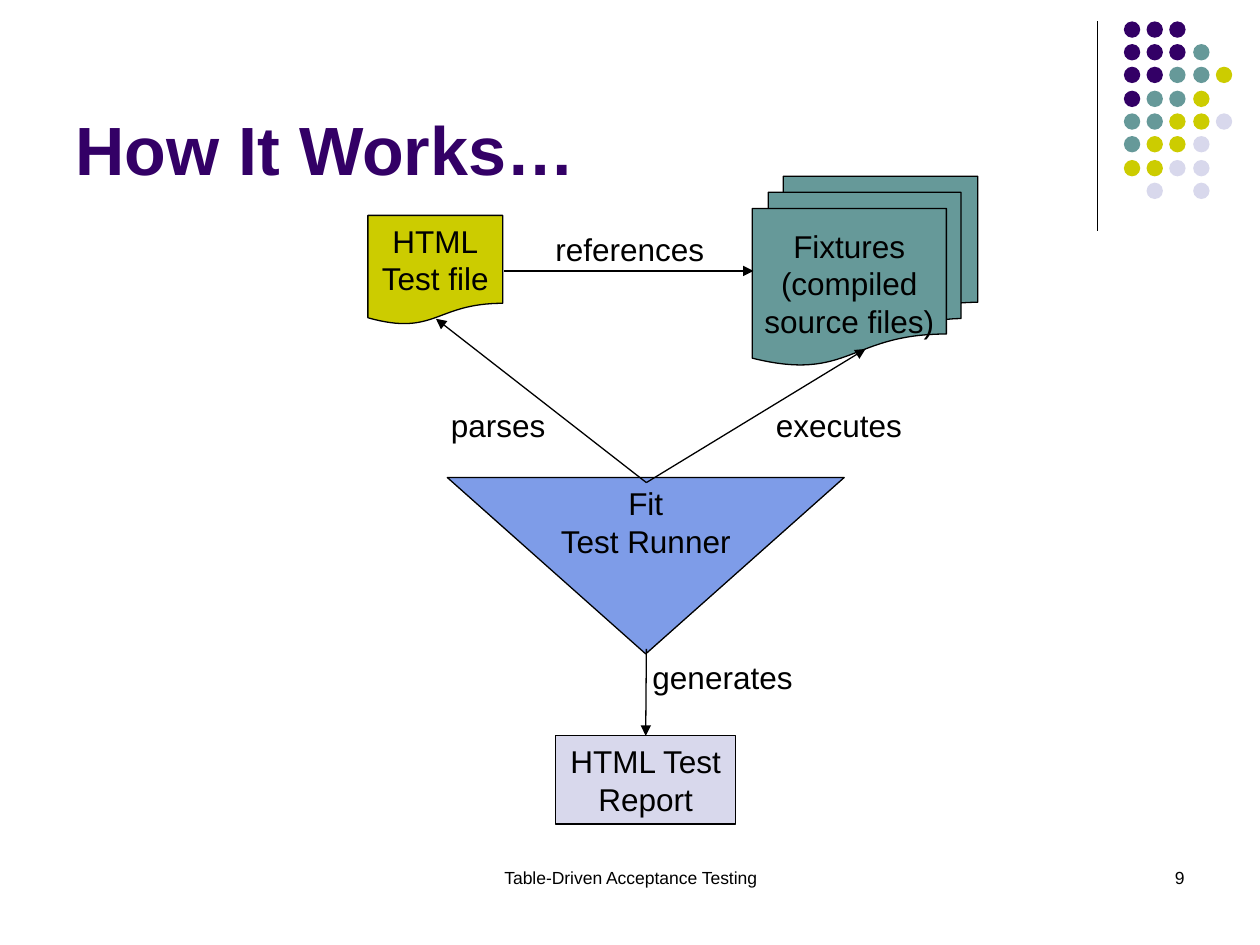
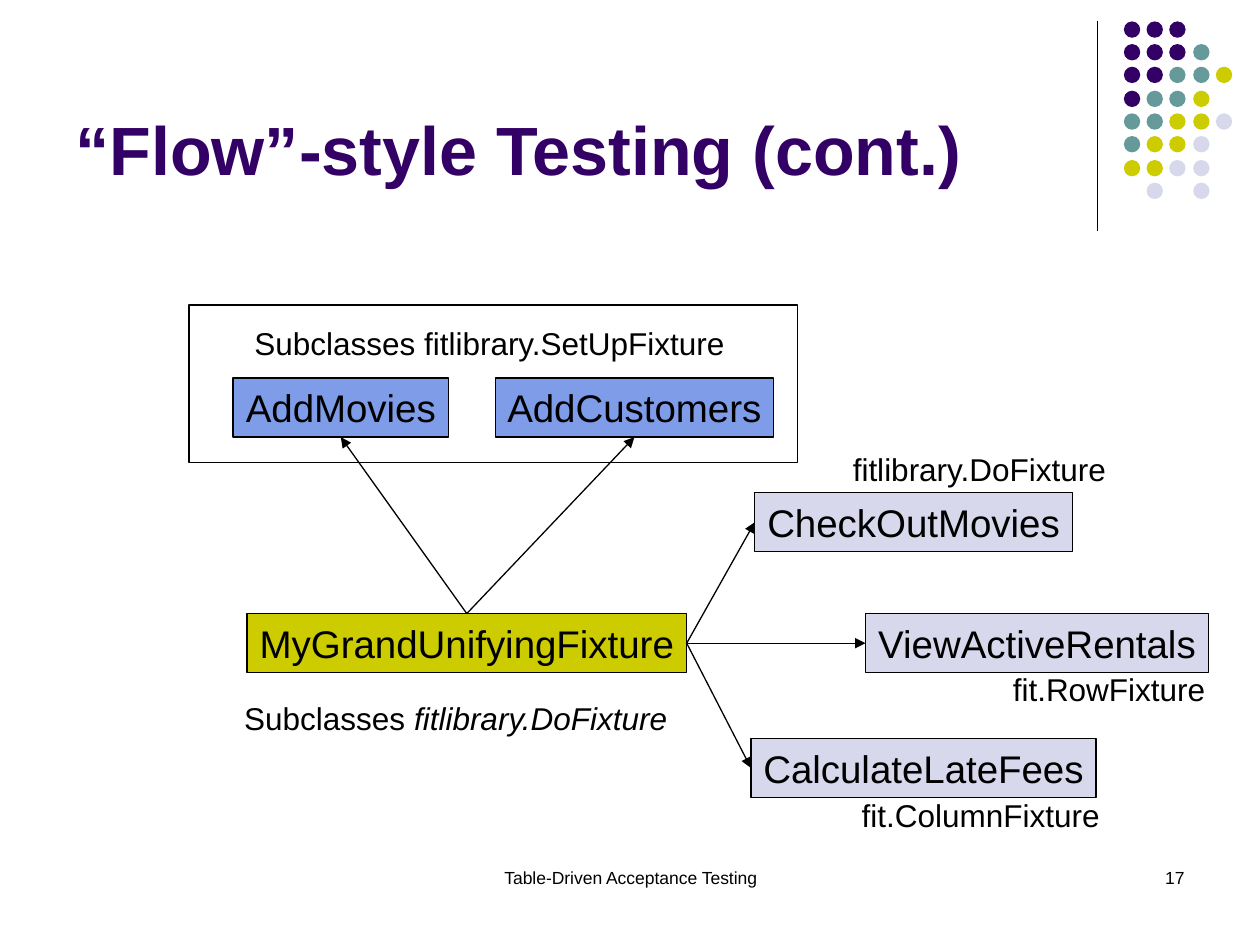
from lxml.etree import SubElement
from pptx import Presentation
from pptx.dml.color import RGBColor
from pptx.enum.shapes import MSO_CONNECTOR, MSO_SHAPE as SHAPE
from pptx.enum.text import MSO_ANCHOR as ANCHOR, MSO_AUTO_SIZE, PP_ALIGN as ALIGN
from pptx.oxml.ns import qn
from pptx.util import Pt

PX = 9144
FONT = "Arial"
BLACK, PURPLE, TEAL = "000000", "330066", "669999"
YELLOW, LAVENDER, BLUE = "CCCC00", "D8D8EC", "7E9CE8"
DOT_COLORS = {"P": PURPLE, "T": TEAL, "Y": YELLOW, "L": LAVENDER}
DOT_ROWS = ["PPP", "PPPT", "PPTTY", "PTTY", "TTYYL", "TYYL", "YYLL", " L L"]
color = RGBColor.from_string


def add_box(slide, kind, frame, text="", fill=None, size=18, align=ALIGN.LEFT, wrap=False):
    frame = [value * PX for value in frame]
    if kind is None:
        shape = slide.shapes.add_textbox(*frame)
    else:
        shape = slide.shapes.add_shape(kind, *frame)
        shape.shadow.inherit = False
        shape.line.color.rgb = color(BLACK)
        shape.line.width = Pt(0.75)
        shape.text_frame.vertical_anchor = ANCHOR.MIDDLE
        align = ALIGN.CENTER
        if fill:
            shape.fill.solid()
            shape.fill.fore_color.rgb = color(fill)
        else:
            shape.fill.background()
    shape.text_frame.word_wrap = wrap
    shape.text_frame.text = text
    for paragraph in shape.text_frame.paragraphs:
        paragraph.alignment = align
        paragraph.font.name = FONT
        paragraph.font.size = Pt(size)
        paragraph.font.color.rgb = color(BLACK)
    return shape


def add_line(slide, start, end, arrow=True):
    points = [value * PX for value in (*start, *end)]
    connector = slide.shapes.add_connector(MSO_CONNECTOR.STRAIGHT, *points)
    connector.line.color.rgb = color(BLACK)
    connector.line.width = Pt(0.75)
    if arrow:
        SubElement(connector.line._get_or_add_ln(), qn("a:tailEnd"), type="triangle")
    SubElement(connector._element.spPr, qn("a:effectLst"))
    return connector


presentation = Presentation()
presentation.slide_width = 1000 * PX
presentation.slide_height = 750 * PX

for title_text, number in [("How It Works…", "9"), ("“Flow”-style Testing (cont.)", "17")]:
    slide = presentation.slides.add_slide(presentation.slide_layouts[5])
    add_line(slide, (871, 17), (871, 183), arrow=False)
    for row, letters in enumerate(DOT_ROWS):
        for column, letter in enumerate(letters):
            if letter in DOT_COLORS:
                frame = (892 + column * 55 // 3, 17 + row * 55 // 3, 13, 13)
                dot = add_box(slide, SHAPE.OVAL, frame, fill=DOT_COLORS[letter])
                dot.line.fill.background()

    title = slide.shapes.title
    title.left, title.top, title.width, title.height = [value * PX for value in (50, 13, 825, 142)]
    title.text_frame.text = title_text
    title.text_frame.vertical_anchor = ANCHOR.BOTTOM
    title.text_frame.auto_size = MSO_AUTO_SIZE.NONE
    paragraph = title.text_frame.paragraphs[0]
    paragraph.alignment = ALIGN.LEFT
    paragraph.font.name = FONT
    paragraph.font.size = Pt(39)
    paragraph.font.bold = True
    paragraph.font.color.rgb = color(PURPLE)

    add_box(slide, None, (342, 683, 317, 50), "Table-Driven Acceptance Testing",
            size=10, align=ALIGN.CENTER, wrap=True)
    add_box(slide, None, (717, 683, 233, 50), number, size=10, align=ALIGN.RIGHT, wrap=True)

works_slide, flow_slide = presentation.slides

add_box(works_slide, SHAPE.FLOWCHART_DOCUMENT, (292, 171, 107, 87), "HTML\nTest file", YELLOW)
add_box(works_slide, SHAPE.FLOWCHART_MERGE, (355, 379, 315, 140), "Fit\nTest Runner", BLUE)
add_box(works_slide, SHAPE.FLOWCHART_MULTIDOCUMENT, (597, 140, 179, 150),
        "Fixtures\n(compiled\nsource files)", TEAL)
report = add_box(works_slide, SHAPE.FLOWCHART_PROCESS, (441, 584, 143, 70),
                 "HTML Test\nReport", LAVENDER)

for start, end, label, frame in [
    ((400, 215), (598, 215), "references", (431, 178, 138, 40)),
    ((513, 383), (346, 253), "parses", (348, 317, 95, 40)),
    ((513, 383), (687, 277), "executes", (606, 317, 120, 40)),
    ((513, 515), (513, 583), "generates", (508, 517, 131, 40)),
]:
    arrow = add_line(works_slide, start, end)
    add_box(works_slide, None, frame, label)
    if label == "generates":
        arrow.end_connect(report, 0)

add_box(flow_slide, SHAPE.RECTANGLE, (150, 242, 483, 125))
unifying_fixture = add_box(flow_slide, SHAPE.FLOWCHART_PROCESS, (196, 487, 349, 47),
                           "MyGrandUnifyingFixture", YELLOW, 22)

for name, left, top, width, fill, start_site, end_site in [
    ("AddMovies", 185, 300, 171, BLUE, 0, 2),
    ("AddCustomers", 393, 300, 221, BLUE, 0, 2),
    ("CalculateLateFees", 596, 586, 274, LAVENDER, 3, 1),
    ("ViewActiveRentals", 687, 487, 272, LAVENDER, 3, 1),
    ("CheckOutMovies", 599, 391, 252, LAVENDER, 3, 1),
]:
    fixture = add_box(flow_slide, SHAPE.RECTANGLE, (left, top, width, 47), name, fill, 22)
    arrow = add_line(flow_slide, (545, 510), (left, top))
    arrow.begin_connect(unifying_fixture, start_site)
    arrow.end_connect(fixture, end_site)

for text, left, top, width in [
    ("Subclasses fitlibrary.SetUpFixture", 192, 252, 395),
    ("fitlibrary.DoFixture", 667, 352, 223),
    ("fit.RowFixture", 794, 527, 173),
    ("fit.ColumnFixture", 674, 627, 209),
]:
    add_box(flow_slide, None, (left, top, width, 40), text)

base_class = add_box(flow_slide, None, (184, 550, 357, 40), "Subclasses ")
run = base_class.text_frame.paragraphs[0].add_run()
run.text = "fitlibrary.DoFixture"
run.font.italic = True

presentation.save("out.pptx")
